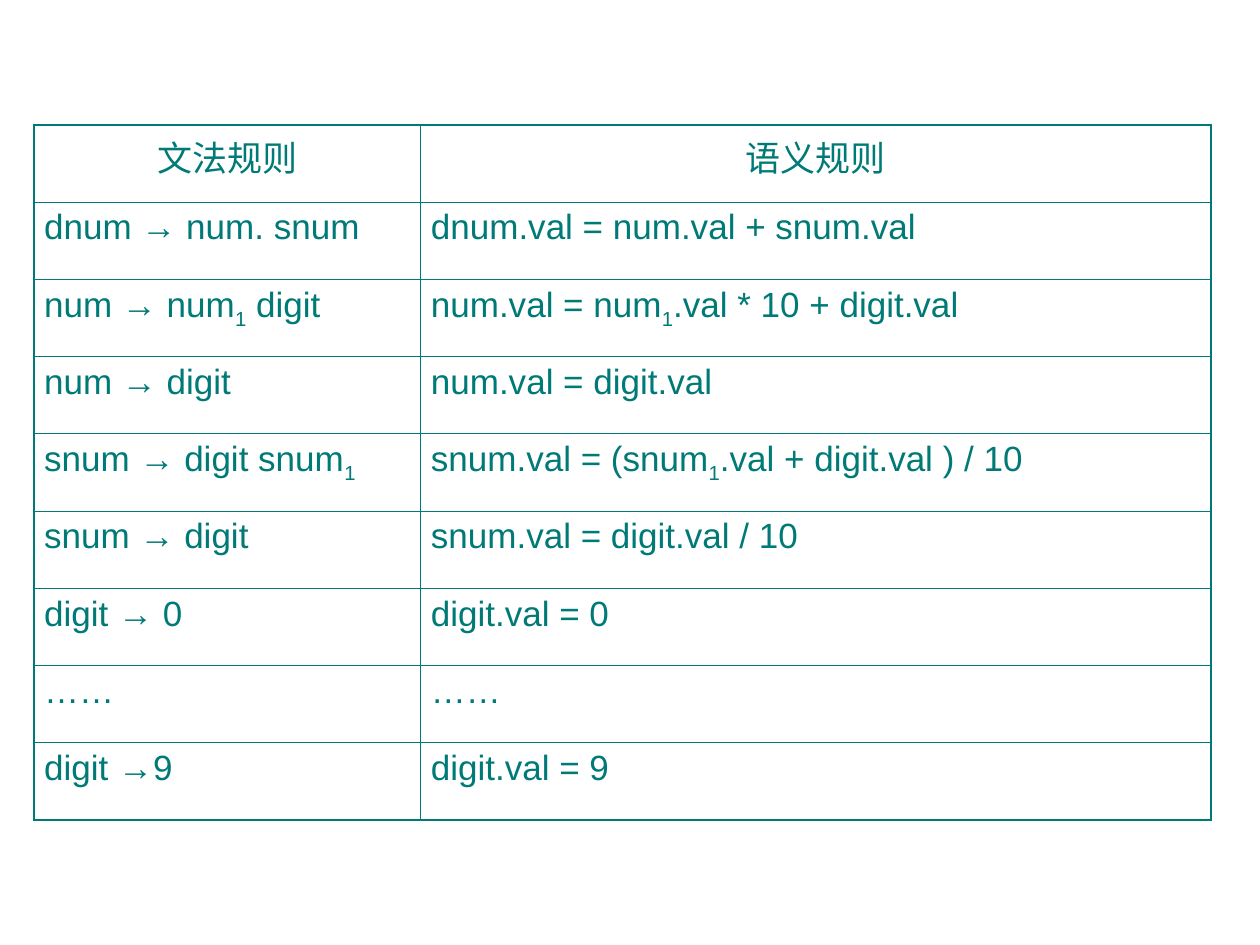
"""Build a slide with a table of grammar rules and their semantic rules."""
from lxml import etree
from pptx import Presentation
from pptx.dml.color import RGBColor
from pptx.enum.text import PP_ALIGN
from pptx.oxml.ns import qn
from pptx.util import Inches, Pt

CENTER, LEFT = PP_ALIGN.CENTER, PP_ALIGN.LEFT
TEAL = RGBColor(0x00, 0x7A, 0x77)
FONT = "Arial"
OUTER, INNER = Pt(1.08), Pt(0.45)
SUBSCRIPT = "-25000"

HEADINGS = ("文法规则", "语义规则")
RULES = [
    ("dnum → num. snum", "dnum.val = num.val + snum.val"),
    ("num → num_1 digit", "num.val = num_1.val * 10 + digit.val"),
    ("num → digit", "num.val = digit.val"),
    ("snum → digit snum_1", "snum.val = (snum_1.val + digit.val ) / 10"),
    ("snum → digit", "snum.val = digit.val / 10"),
    ("digit → 0", "digit.val = 0"),
    ("……", "……"),
    ("digit →9", "digit.val = 9"),
]
ROWS = [HEADINGS, *RULES]
COLUMN_WIDTHS = (3.07, 6.27)
TABLE_LEFT, TABLE_TOP, TABLE_HEIGHT = 0.27, 0.99, 5.52


def write(cell, text, size=20, color=TEAL, align=LEFT):
    """Write text into a cell; the digit after an underscore is a subscript."""
    paragraph = cell.text_frame.paragraphs[0]
    paragraph.alignment = align
    paragraph.space_before = Pt(5)
    base, *indexed = text.split("_")
    pieces = [(base, False)]
    for part in indexed:
        pieces += [(part[0], True), (part[1:], False)]
    for piece, lowered in pieces:
        if not piece:
            continue
        run = paragraph.add_run()
        run.text = piece
        run.font.name = FONT
        run.font.size = Pt(size)
        run.font.color.rgb = color
        if lowered:
            run.font._element.set("baseline", SUBSCRIPT)


def draw_borders(cell, widths):
    """Draw the left, right, top and bottom borders of a cell."""
    properties = cell._tc.get_or_add_tcPr()
    for side, width in zip("LRTB", widths):
        line = etree.SubElement(properties, qn(f"a:ln{side}"), w=str(int(width)))
        fill = etree.SubElement(line, qn("a:solidFill"))
        etree.SubElement(fill, qn("a:srgbClr"), val=str(TEAL))


def build():
    """Lay out the table and save the presentation."""
    presentation = Presentation()
    presentation.slide_width, presentation.slide_height = Inches(10), Inches(7.5)
    slide = presentation.slides.add_slide(presentation.slide_layouts[6])
    rules_table = slide.shapes.add_table(
        len(ROWS), len(COLUMN_WIDTHS), Inches(TABLE_LEFT), Inches(TABLE_TOP),
        Inches(sum(COLUMN_WIDTHS)), Inches(TABLE_HEIGHT)).table
    rules_table.first_row = rules_table.horz_banding = False
    for column, width in zip(rules_table.columns, COLUMN_WIDTHS):
        column.width = Inches(width)

    last_row, last_column = len(ROWS) - 1, len(COLUMN_WIDTHS) - 1
    for r, row in enumerate(ROWS):
        for c, text in enumerate(row):
            cell = rules_table.cell(r, c)
            cell.margin_left = cell.margin_right = Inches(0.08)
            cell.margin_top = cell.margin_bottom = Inches(0.05)
            on_edge = (c == 0, c == last_column, r == 0, r == last_row)
            draw_borders(cell, [OUTER if edge else INNER for edge in on_edge])
            cell.fill.background()
            write(cell, text, align=CENTER if r == 0 else LEFT)
    presentation.save("out.pptx")


if __name__ == "__main__":
    build()
